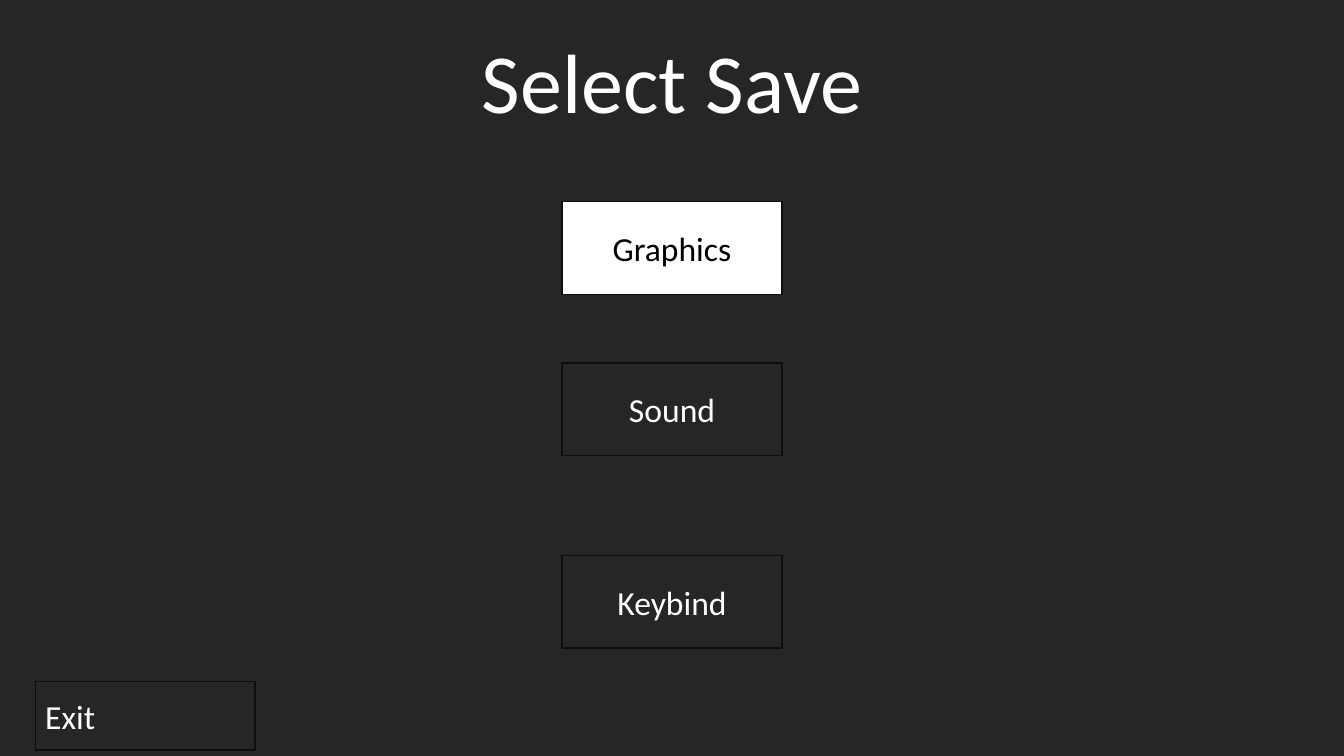
from pptx import Presentation
from pptx.dml.color import RGBColor
from pptx.enum.shapes import MSO_SHAPE
from pptx.enum.text import MSO_ANCHOR, PP_ALIGN
from pptx.util import Inches, Pt

RECT = MSO_SHAPE.RECTANGLE
MIDDLE = MSO_ANCHOR.MIDDLE
LEFT, CENTER = PP_ALIGN.LEFT, PP_ALIGN.CENTER

TITLE = "Select Save"
MENU = [("Graphics", 2.0, True), ("Sound", 3.6, False), ("Keybind", 5.51, False)]
EXIT = "Exit"

THEME = {
    "font": "Calibri", "title": 60, "button": 24,
    "dark": "262626", "edge": "0D0D0D", "light": "FFFFFF", "selected": "000000",
}
WIDTH, HEIGHT = 13.33, 7.5
BUTTON_W, BUTTON_H, EXIT_H = 2.18, 0.92, 0.68


def color(name):
    return RGBColor.from_string(THEME[name])


def write(s, text, size, ink, align):
    tf = s.text_frame
    tf.word_wrap = True
    tf.text = text
    p = tf.paragraphs[0]
    p.alignment = align
    font = p.runs[0].font
    font.name = THEME["font"]
    font.size = Pt(THEME[size])
    font.color.rgb = color(ink)


def add_box(x, y, w, h, fill, line):
    sp = slide.shapes.add_shape(RECT, Inches(x), Inches(y), Inches(w), Inches(h))
    sp.shadow.inherit = False
    sp.fill.solid()
    sp.fill.fore_color.rgb = color(fill)
    sp.line.color.rgb = color(line)
    sp.line.width = Pt(1)
    return sp


def add_button(text, x, y, h, selected=False, align=CENTER):
    fill, ink = ("light", "selected") if selected else ("dark", "light")
    sp = add_box(x, y, BUTTON_W, h, fill, "edge")
    sp.text_frame.vertical_anchor = MIDDLE
    write(sp, text, "button", ink, align)


prs = Presentation()
prs.slide_width, prs.slide_height = Inches(WIDTH), Inches(HEIGHT)
slide = prs.slides.add_slide(prs.slide_layouts[6])

add_box(0, 0, WIDTH, HEIGHT, "dark", "dark")
title = slide.shapes.add_textbox(0, Inches(0.24), Inches(WIDTH), Inches(1.11))
write(title, TITLE, "title", "light", CENTER)

add_button(EXIT, 0.35, 6.76, EXIT_H, align=LEFT)
for label, top, selected in MENU:
    add_button(label, (WIDTH - BUTTON_W) / 2, top, BUTTON_H, selected)

prs.save("out.pptx")
